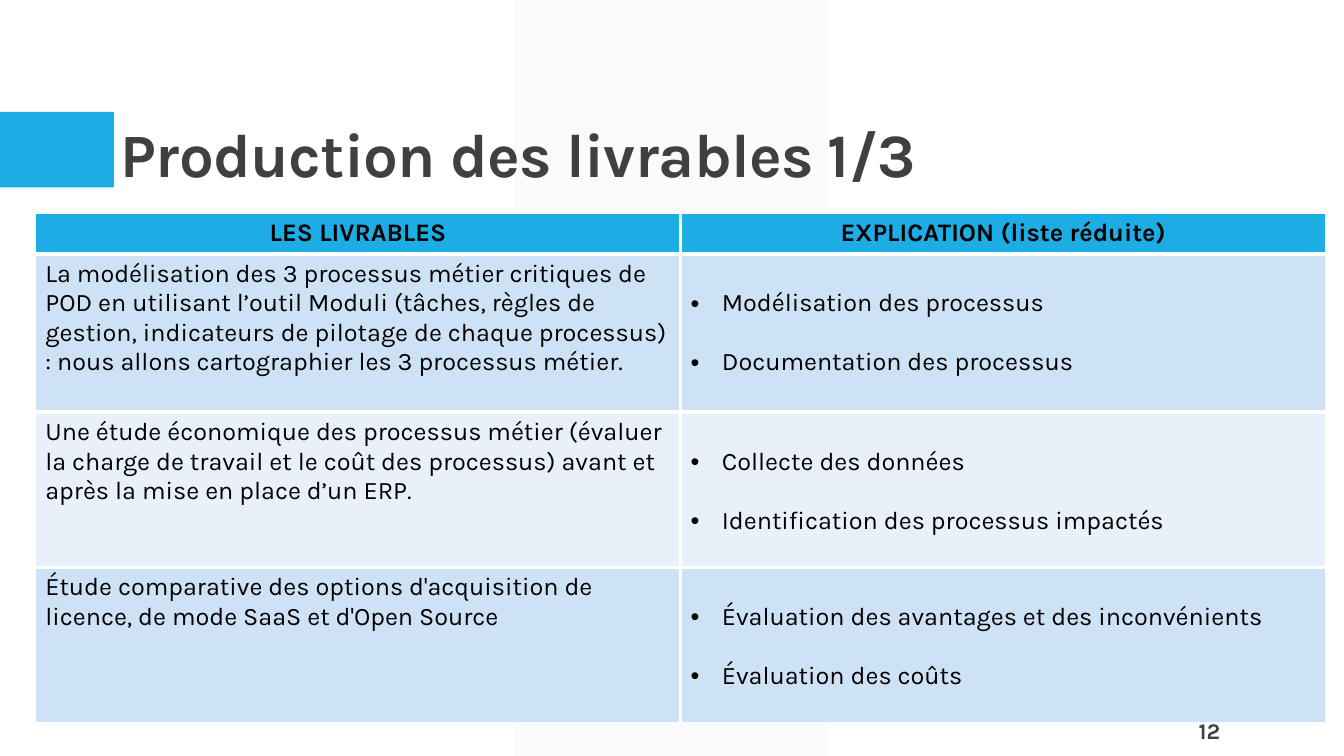
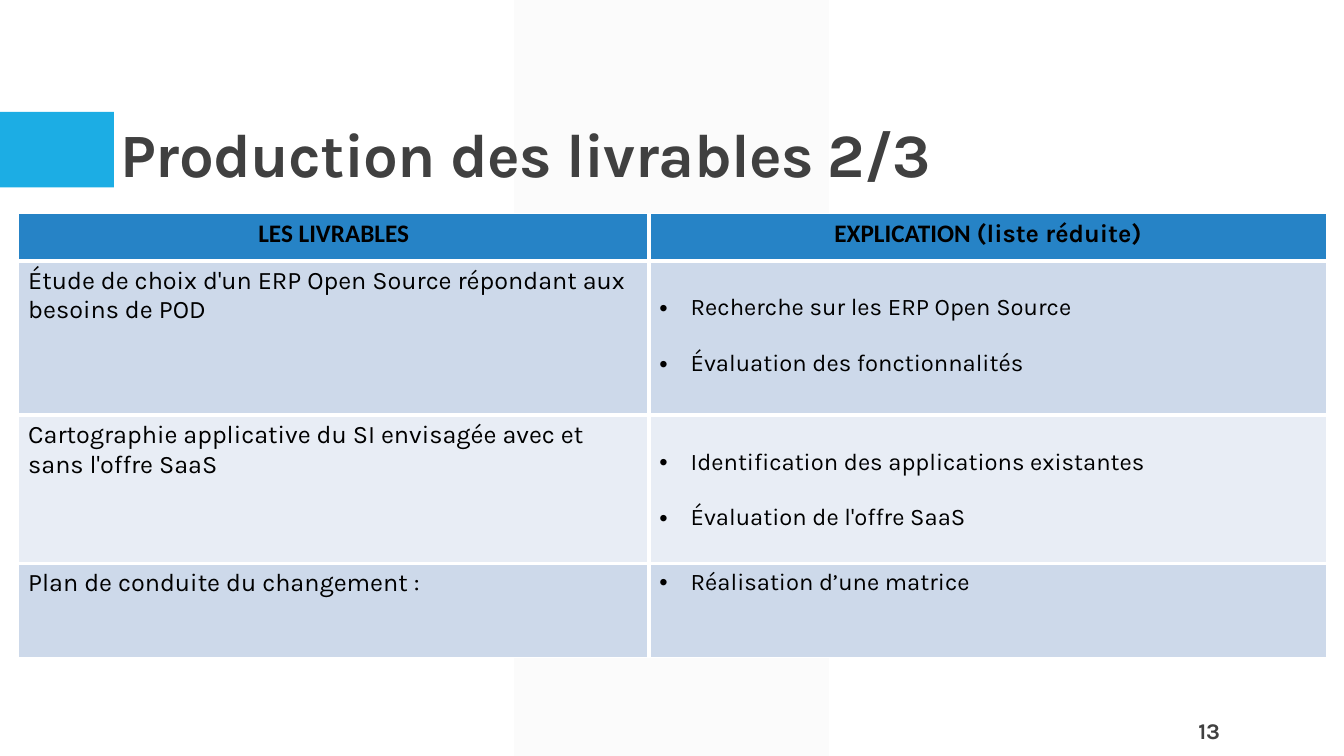
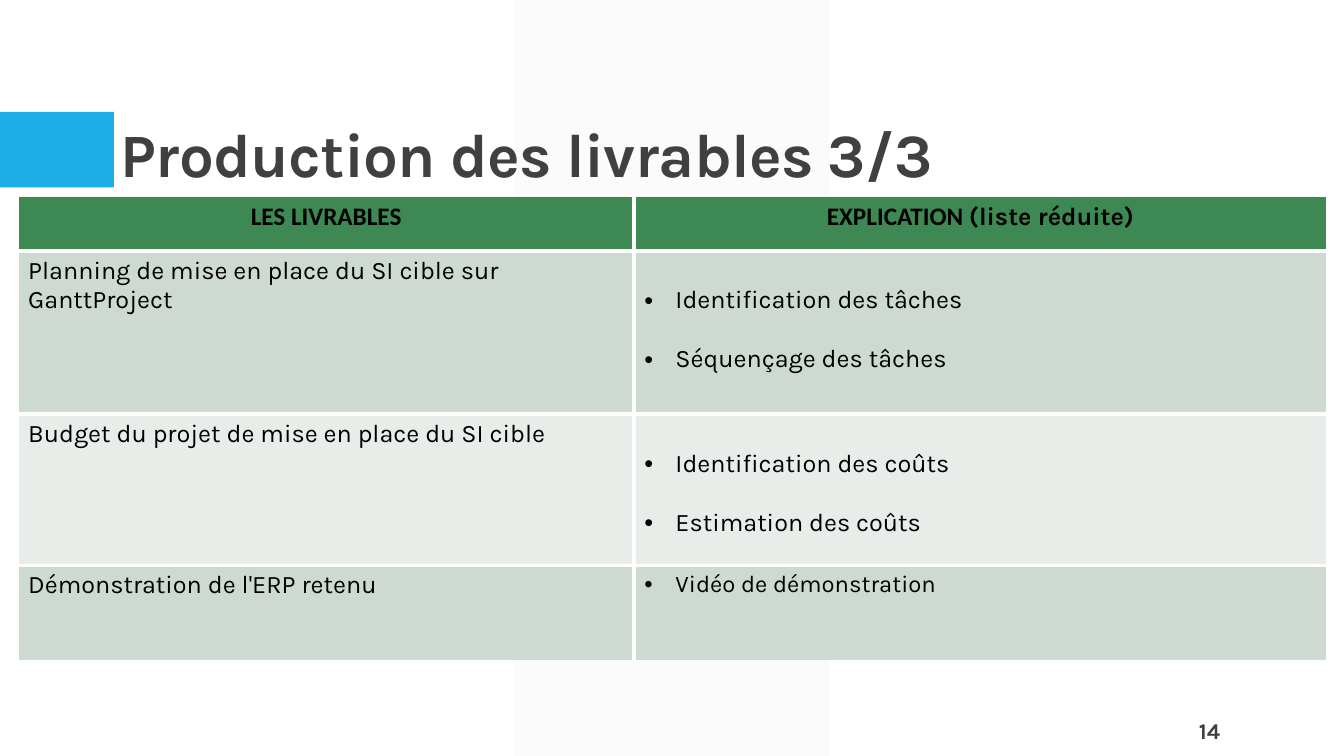
from lxml import etree
from pptx import Presentation
from pptx import util as u
from pptx.dml import color
from pptx.enum import shapes, text
from pptx.oxml import ns

# Shared look
FONT = "Karla"
ACCENT, INK, BLACK, WHITE, PALE = "1CADE4", "404040", "000000", "FFFFFF", "F2F2F2"
INNER_LINE, OUTER_LINE = 3, 1
INDENT = u.Inches(0.31)

# Content: one entry per slide
SLIDES = [
    {
        "title": "Production des livrables 1/3", "number": "12",
        "origin": (0.35, 2.12), "columns": [6.4, 6.4], "heights": [0.39, 1.57, 1.54, 1.54],
        "fills": [ACCENT, "CDE3F5", "E8F1FA"], "header_font": FONT, "bullet_size": 18,
        "rows": [
            ("La modélisation des 3 processus métier critiques de POD en utilisant l’outil Moduli "
             "(tâches, règles de gestion, indicateurs de pilotage de chaque processus) : "
             "nous allons cartographier les 3 processus métier.",
             ["Modélisation des processus", "Documentation des processus"]),
            ("Une étude économique des processus métier (évaluer la charge de travail et le coût "
             "des processus) avant et après la mise en place d’un ERP.",
             ["Collecte des données", "Identification des processus impactés"]),
            ("Étude comparative des options d'acquisition de licence, de mode SaaS et d'Open Source",
             ["Évaluation des avantages et des inconvénients", "Évaluation des coûts"]),
        ],
    },
    {
        "title": "Production des livrables 2/3", "number": "13",
        "origin": (0.18, 2.12), "columns": [6.26, 6.72], "heights": [0.47, 1.53, 1.47, 0.93],
        "fills": ["2683C6", "CDD9EA", "E8EDF5"], "header_font": "Calibri", "bullet_size": 17,
        "rows": [
            ("Étude de choix d'un ERP Open Source répondant aux besoins de POD",
             ["Recherche sur les ERP Open Source", "Évaluation des fonctionnalités"]),
            ("Cartographie applicative du SI envisagée avec et sans l'offre SaaS",
             ["Identification des applications existantes", "Évaluation de l'offre SaaS"]),
            ("Plan de conduite du changement :", ["Réalisation d’une matrice"]),
        ],
    },
    {
        "title": "Production des livrables 3/3", "number": "14",
        "origin": (0.18, 1.95), "columns": [6.11, 6.87], "heights": [0.54, 1.62, 1.5, 0.94],
        "fills": ["3E8853", "CEDAD1", "E8EDE9"], "header_font": "Calibri", "bullet_size": 18,
        "rows": [
            ("Planning de mise en place du SI cible sur GanttProject",
             ["Identification des tâches", "Séquençage des tâches"]),
            ("Budget du projet de mise en place du SI cible",
             ["Identification des coûts", "Estimation des coûts"]),
            ("Démonstration de l'ERP retenu", ["Vidéo de démonstration"]),
        ],
    },
]


def rgb(value):
    return color.RGBColor.from_string(value)


def style(run, size, ink=BLACK, bold=False, font=FONT):
    run.font.size, run.font.name, run.font.bold = u.Pt(size), font, bold
    run.font.color.rgb = rgb(ink)


def add_band(slide, kind, box, fill):
    band = slide.shapes.add_shape(kind, *map(u.Inches, box))
    band.shadow.inherit = False
    band.fill.solid()
    band.fill.fore_color.rgb = rgb(fill)
    band.line.fill.background()
    return band


def add_label(slide, box, words, size, anchor, align):
    frame = slide.shapes.add_textbox(*map(u.Inches, box)).text_frame
    frame.word_wrap = True
    frame.vertical_anchor = anchor
    frame.text = words
    paragraph = frame.paragraphs[0]
    paragraph.alignment = align
    style(paragraph.runs[0], size, INK, bold=True)
    return paragraph


def add_base(deck, title, number):
    """Blank slide with the pale band, accent block, title and page number."""
    slide = deck.slides.add_slide(deck.slide_layouts[6])
    backdrop = add_band(slide, shapes.MSO_SHAPE.PARALLELOGRAM, (5.1, 0, 3.12, 7.5), PALE)
    backdrop.adjustments[0] = 0
    tint = backdrop.fill._xPr.find(".//" + ns.qn("a:srgbClr"))
    etree.SubElement(tint, ns.qn("a:alpha"), val="30000")
    add_band(slide, shapes.MSO_SHAPE.RECTANGLE, (0, 1.11, 1.13, 0.75), ACCENT)
    heading = add_label(slide, (1.1, 0.35, 12.23, 1.59), title, 44,
                        text.MSO_ANCHOR.BOTTOM, text.PP_ALIGN.LEFT)
    heading.line_spacing = 0.9
    heading.runs[0].font._element.set("spc", "-50")
    add_label(slide, (11.35, 7.05, 0.85, 0.4), number, 16,
              text.MSO_ANCHOR.MIDDLE, text.PP_ALIGN.RIGHT)
    return slide


def paint_cell(cell, fill, outer_sides):
    """White borders, thin on the table's outer sides, then the fill."""
    properties = cell._tc.get_or_add_tcPr()
    for side in "LRTB":
        width = OUTER_LINE if side in outer_sides else INNER_LINE
        line = etree.SubElement(properties, ns.qn("a:ln" + side), w=str(u.Pt(width)))
        solid = etree.SubElement(line, ns.qn("a:solidFill"))
        etree.SubElement(solid, ns.qn("a:srgbClr"), val=WHITE)
    cell.fill.solid()
    cell.fill.fore_color.rgb = rgb(fill)


def write_header(cell, parts):
    paragraph = cell.text_frame.paragraphs[0]
    paragraph.alignment = text.PP_ALIGN.CENTER
    for words, font in parts:
        run = paragraph.add_run()
        run.text = words
        style(run, 18, bold=True, font=font)


def write_bullets(cell, items, size):
    """Several items are double spaced; a single one is plain and smaller."""
    several = len(items) > 1
    cell.text_frame.text = "\n".join(items)
    for paragraph in cell.text_frame.paragraphs:
        if several:
            paragraph.line_spacing = 2.0
        properties = paragraph._p.get_or_add_pPr()
        properties.set("marL", str(INDENT))
        properties.set("indent", str(-INDENT))
        etree.SubElement(properties, ns.qn("a:buFont"), typeface="Arial")
        etree.SubElement(properties, ns.qn("a:buChar"), char="•")
        style(paragraph.runs[0], size if several else 17)


def add_deliverables(slide, content):
    columns, heights = content["columns"], content["heights"]
    box = (*content["origin"], sum(columns), sum(heights))
    table = slide.shapes.add_table(len(heights), len(columns), *map(u.Inches, box)).table
    table.first_row = table.horz_banding = False
    for column, width in zip(table.columns, columns):
        column.width = u.Inches(width)
    for row, height in zip(table.rows, heights):
        row.height = u.Inches(height)

    # Fills and borders
    header_fill, *body_fills = content["fills"]
    last = len(heights) - 1
    for index, row in enumerate(table.rows):
        fill = body_fills[(index - 1) % 2] if index else header_fill
        edge = {0: "T", last: "B"}.get(index, "")
        for cell, side in zip(row.cells, "LR"):
            paint_cell(cell, fill, side + edge)

    # Wording
    font = content["header_font"]
    write_header(table.cell(0, 0), [("LES LIVRABLES", font)])
    write_header(table.cell(0, 1), [("EXPLICATION ", font), ("(liste réduite)", FONT)])
    for index, (deliverable, details) in enumerate(content["rows"], start=1):
        name_cell = table.cell(index, 0)
        name_cell.text_frame.text = deliverable
        style(name_cell.text_frame.paragraphs[0].runs[0], 18)
        write_bullets(table.cell(index, 1), details, content["bullet_size"])


def main():
    deck = Presentation()
    deck.slide_width, deck.slide_height = u.Inches(13.33), u.Inches(7.5)
    for content in SLIDES:
        slide = add_base(deck, content["title"], content["number"])
        add_deliverables(slide, content)
    deck.save("out.pptx")


if __name__ == "__main__":
    main()
